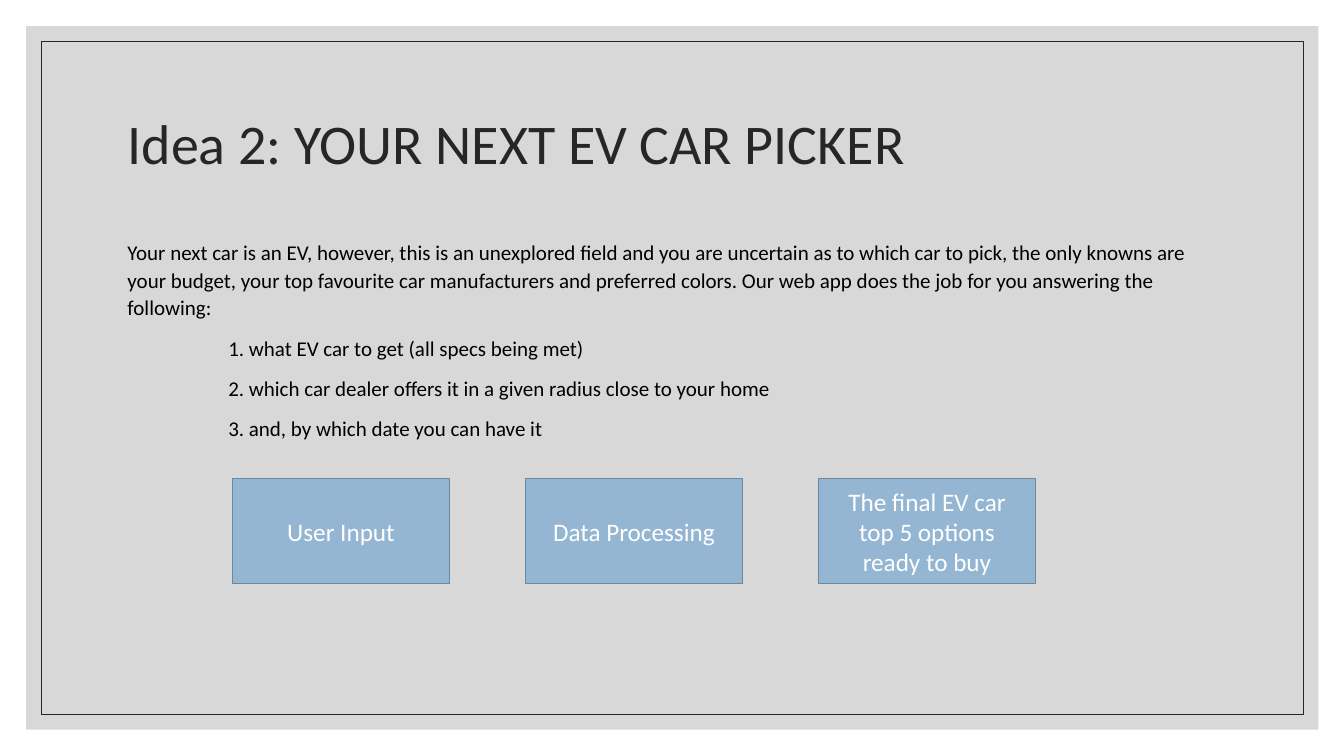
from lxml import etree
from pptx import Presentation
from pptx.dml.color import RGBColor
from pptx.enum.shapes import MSO_SHAPE
from pptx.enum.text import MSO_ANCHOR, MSO_AUTO_SIZE, PP_ALIGN
from pptx.oxml.ns import qn
from pptx.util import Pt

RECTANGLE = MSO_SHAPE.RECTANGLE
MIDDLE = MSO_ANCHOR.MIDDLE
NO_AUTOFIT = MSO_AUTO_SIZE.NONE
LEFT, CENTER = PP_ALIGN.LEFT, PP_ALIGN.CENTER


def color(hex_value):
    return RGBColor.from_string(hex_value)


def set_font(paragraph, size, hex_value):
    for run in paragraph.runs:
        run.font.name = "Calibri"
        run.font.size = Pt(size)
        run.font.color.rgb = color(hex_value)


prs = Presentation()
prs.slide_width, prs.slide_height = Pt(960), Pt(540)
slide = prs.slides.add_slide(prs.slide_layouts[5])
shapes = slide.shapes
title = shapes.title

# Translucent grey panel, placed behind the title
panel = shapes.add_shape(RECTANGLE, Pt(18.72), Pt(18.72), Pt(923.04), Pt(502.56))
panel.shadow.inherit = False
panel.fill.solid()
panel.fill.fore_color.rgb = color("BFBFBF")
panel.line.fill.background()
panel_color = panel.fill._xPr.find(qn("a:solidFill"))[0]
etree.SubElement(panel_color, qn("a:alpha"), val="60000")
title._element.addprevious(panel._element)

# Thin frame inside the panel
frame = shapes.add_shape(RECTANGLE, Pt(29.52), Pt(29.52), Pt(901.44), Pt(480.96))
frame.shadow.inherit = False
frame.fill.background()
frame.line.color.rgb = color("262626")
frame.line.width = Pt(0.5)
title._element.addprevious(frame._element)

# Title
title.left, title.top, title.width, title.height = Pt(84), Pt(50.4), Pt(792), Pt(108)
title.text_frame.text = "Idea 2: YOUR NEXT EV CAR PICKER"
title.text_frame.auto_size = NO_AUTOFIT
title.text_frame.vertical_anchor = MIDDLE
heading = title.text_frame.paragraphs[0]
heading.alignment = LEFT
heading.line_spacing = 0.9
set_font(heading, 40, "262626")

# Description and the three questions, which start at a tab stop
description = shapes.add_textbox(Pt(84), Pt(165.8), Pt(792), Pt(303)).text_frame
description.word_wrap = True
description.text = "\n".join([
    "Your next car is an EV, however, this is an unexplored field and you are "
    "uncertain as to which car to pick, the only knowns are your budget, your top "
    "favourite car manufacturers and preferred colors. Our web app does the job "
    "for you answering the following:",
    "\t1. what EV car to get (all specs being met)",
    "\t2. which car dealer offers it in a given radius close to your home",
    "\t3. and, by which date you can have it",
])
for index, paragraph in enumerate(description.paragraphs):
    paragraph.line_spacing = 1.1
    if index > 0:
        paragraph.space_before = Pt(9)
        tab_stops = etree.SubElement(paragraph._p.get_or_add_pPr(), qn("a:tabLst"))
        etree.SubElement(tab_stops, qn("a:tab"), pos=str(Pt(72)), algn="l")
    set_font(paragraph, 15, "000000")

# Process steps
steps = ["User Input", "Data Processing", "The final EV car top 5 options ready to buy"]
for index, label in enumerate(steps):
    step = shapes.add_shape(RECTANGLE, Pt(165.9 + index * 209.3), Pt(342), Pt(155.3), Pt(75))
    step.shadow.inherit = False
    step.fill.solid()
    step.fill.fore_color.rgb = color("94B6D2")
    step.line.color.rgb = color("6D879B")
    step.line.width = Pt(1)
    step.text_frame.text = label
    step.text_frame.word_wrap = True
    step.text_frame.margin_left = step.text_frame.margin_right = Pt(9)
    step.text_frame.vertical_anchor = MIDDLE
    caption = step.text_frame.paragraphs[0]
    caption.alignment = CENTER
    set_font(caption, 18, "FFFFFF")

prs.save("out.pptx")
